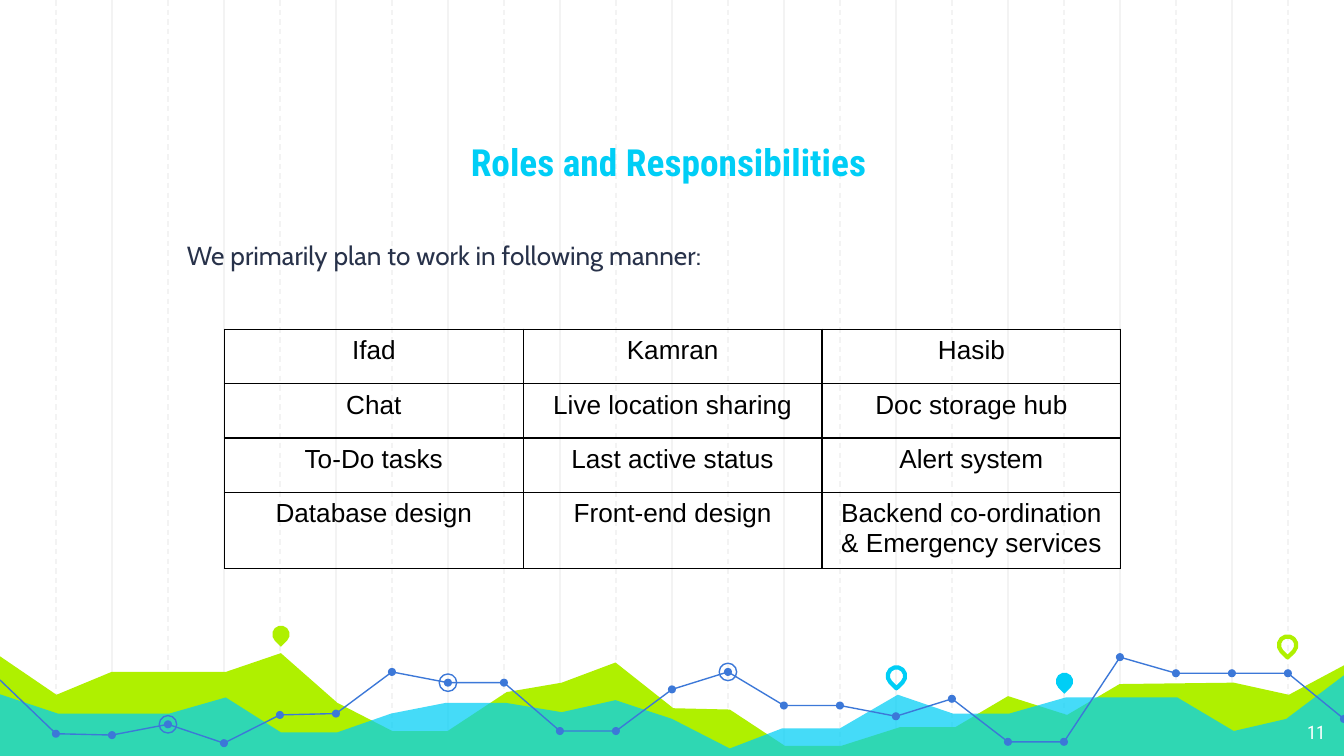
from lxml import etree
from pptx import Presentation
from pptx import util as u
from pptx.dml.color import RGBColor
from pptx.enum import dml, shapes, text
from pptx.oxml.ns import qn

COLORS = {
    "grid": "F3F3F3", "lime": "AFF000", "cyan": "00CEF6", "blue": "3C78D8",
    "ink": "28324A", "white": "FFFFFF", "black": "000000",
}
WIDTH = 10
HEIGHT = WIDTH * 9 / 16
STEP = WIDTH / 24


class SlideBuilder:
    """Holds the style and the current slide."""

    heading_font, body_font, table_font = "Roboto Condensed", "Cabin", "Arial"
    thin = 0.75

    def __init__(self, slide):
        self.slide = slide

    def color(self, name):
        return RGBColor.from_string(COLORS[name])

    def paint(self, shape, fill=None, line=None, width=thin, opacity=None):
        shape.shadow.inherit = False
        if fill:
            shape.fill.solid()
            shape.fill.fore_color.rgb = self.color(fill)
            if opacity:
                srgb = shape._element.spPr.find(".//" + qn("a:srgbClr"))
                etree.SubElement(srgb, qn("a:alpha"), val=str(opacity * 1000))
        else:
            shape.fill.background()
        if line:
            shape.line.color.rgb = self.color(line)
            shape.line.width = u.Pt(width)
        else:
            shape.line.fill.background()

    def grid_line(self, x, dashed):
        line = self.slide.shapes.add_connector(
            shapes.MSO_CONNECTOR.STRAIGHT, u.Inches(x), 0, u.Inches(x), u.Inches(5.65))
        line.line.color.rgb = self.color("grid")
        line.line.width = u.Pt(self.thin)
        if dashed:
            line.line.dash_style = dml.MSO_LINE.DASH
        etree.SubElement(line._element.spPr, qn("a:effectLst"))

    def outline(self, points, closed, **style):
        start, *rest = [(u.Inches(x), u.Inches(y)) for x, y in points]
        builder = self.slide.shapes.build_freeform(*start)
        builder.add_line_segments(rest, close=closed)
        self.paint(builder.convert_to_shape(), **style)

    def area(self, ridge, bottom, **style):
        base = [(10.02, bottom), (-0.03, bottom)]
        self.outline(ridge + base, True, **style)

    def marker(self, kind, x, y, size, rotation=0, **style):
        """Place a small square-framed shape around its centre."""
        shape = self.slide.shapes.add_shape(
            kind, u.Inches(x - size / 2), u.Inches(y - size / 2),
            u.Inches(size), u.Inches(size))
        shape.rotation = rotation
        self.paint(shape, **style)

    def circle(self, x, y, size, **style):
        self.marker(shapes.MSO_SHAPE.OVAL, x, y, size, **style)

    def pin(self, x, y, **style):
        self.marker(shapes.MSO_SHAPE.TEAR, x, y, 0.13, 135, **style)

    def set_text(self, paragraph, words, font, size, color, align):
        paragraph.text = words
        paragraph.alignment = align
        paragraph.font.name = font
        paragraph.font.size = u.Pt(size)
        paragraph.font.color.rgb = self.color(color)

    def text_box(self, box, words, font, size, color, align,
                 anchor=text.MSO_ANCHOR.TOP, indent=0):
        frame = self.slide.shapes.add_textbox(*map(u.Inches, box)).text_frame
        frame.word_wrap = True
        frame.vertical_anchor = anchor
        frame.margin_top = frame.margin_bottom = frame.margin_right = u.Inches(0.1)
        frame.margin_left = u.Inches(0.1 + indent)
        paragraph = frame.paragraphs[0]
        self.set_text(paragraph, words, font, size, color, align)
        return paragraph

    def border(self, cell):
        properties = cell._tc.get_or_add_tcPr()
        for side in ("lnL", "lnR", "lnT", "lnB"):
            line = etree.SubElement(
                properties, qn("a:" + side), w=str(u.Pt(self.thin)))
            fill = etree.SubElement(line, qn("a:solidFill"))
            etree.SubElement(fill, qn("a:srgbClr"), val=COLORS["black"])

    def table(self, box, rows, row_height):
        table = self.slide.shapes.add_table(
            len(rows), len(rows[0]), *map(u.Inches, box)).table
        table.first_row = table.horz_banding = False
        for row, words in zip(table.rows, rows):
            row.height = u.Inches(row_height)
            for cell, label in zip(row.cells, words):
                self.border(cell)
                cell.fill.background()
                self.set_text(cell.text_frame.paragraphs[0], label,
                              self.table_font, 14, "black", text.PP_ALIGN.CENTER)


def main():
    presentation = Presentation()
    presentation.slide_width = u.Inches(WIDTH)
    presentation.slide_height = u.Inches(HEIGHT)
    slide = presentation.slides.add_slide(presentation.slide_layouts[6])
    builder = SlideBuilder(slide)

    # Background grid: solid lines on even steps, dashed lines on odd steps
    for first, dashed in ((2, False), (1, True)):
        for column in range(first, 24, 2):
            builder.grid_line(column * STEP, dashed)

    # Overlapping landscape areas
    lime_ridge = [
        (-0.02, 4.87), (0.42, 5.17), (0.83, 5), (1.68, 5), (2.09, 4.86),
        (2.51, 5.23), (2.92, 5.44), (3.33, 5.44), (3.77, 5.15), (4.18, 5.08),
        (4.58, 4.93), (5.01, 5.27), (5.43, 5.28), (5.84, 5.55), (6.26, 5.55),
        (6.7, 5.41), (7.11, 5.41), (7.5, 5.18), (7.94, 5.32), (8.33, 5.09),
        (9.18, 5.08), (9.59, 5.17), (10.02, 4.94)]
    cyan_ridge = [
        (-0.02, 5.16), (0.43, 5.31), (1.26, 5.31), (1.68, 5.19), (2.09, 5.45),
        (2.51, 5.45), (2.91, 5.31), (3.32, 5.23), (3.76, 5.23), (4.18, 5.3),
        (4.58, 5.21), (5, 5.35), (5.43, 5.57), (5.82, 5.42), (6.25, 5.42),
        (6.68, 5.17), (7.09, 5.31), (7.51, 5.31), (7.93, 5.19), (8.76, 5.19),
        (9.18, 5.44), (9.57, 5.35), (10.02, 5.01)]
    builder.area(lime_ridge, 5.64, fill="lime")
    builder.area(cyan_ridge, 5.65, fill="cyan", opacity=73)

    # Map pins
    builder.pin(2.09, 4.72, fill="lime")
    builder.pin(6.67, 5.03, line="cyan", width=2.25)
    builder.pin(7.92, 5.07, fill="cyan")
    builder.pin(9.58, 4.8, line="lime", width=2.25)

    # Blue trail in three stretches, with a dot on every step
    heights = [5.06, 5.46, 5.47, 5.39, 5.53, 5.32, 5.31, 5, 5.08, 5.08, 5.44, 5.44,
               5.13, 5, 5.25, 5.25, 5.33, 5.2, 5.52, 5.52, 4.89, 5.01, 5.01, 5.01, 5.35]
    trail = [(column * STEP, y) for column, y in enumerate(heights)]
    for first, last in ((0, 11), (11, 20), (20, 24)):
        builder.outline(trail[first:last + 1], False, line="blue")
    for x, y in trail[1:]:
        builder.circle(x, y, 0.06, fill="blue")
    for column in (3, 8, 13):
        builder.circle(*trail[column], 0.13, line="blue")

    # Title, introduction and slide number
    title = builder.text_box(
        (1.15, 0.69, 7.65, 0.78), "Roles and Responsibilities", builder.heading_font,
        20, "cyan", text.PP_ALIGN.CENTER, text.MSO_ANCHOR.BOTTOM)
    title.font.bold = True
    introduction = builder.text_box(
        (1.18, 1.68, 7.65, 2.53), "We primarily plan to work in following manner:",
        builder.body_font, 14, "ink", text.PP_ALIGN.LEFT, indent=0.11)
    introduction.space_before = u.Pt(6)
    builder.text_box((9.36, 5.28, 0.6, 0.35), "11", builder.heading_font,
                     10, "white", text.PP_ALIGN.RIGHT)

    # Roles table: the last row grows to fit its two lines
    builder.table((1.67, 2.45, 6.67, 1.62), [
        ["Ifad", "Kamran", "Hasib"],
        ["Chat", "Live location sharing", "Doc storage hub"],
        ["To-Do tasks", "Last active status", "Alert system"],
        ["Database design", "Front-end design",
         "Backend co-ordination & Emergency services"],
    ], 1.62 / 4)

    presentation.save("out.pptx")


if __name__ == "__main__":
    main()
